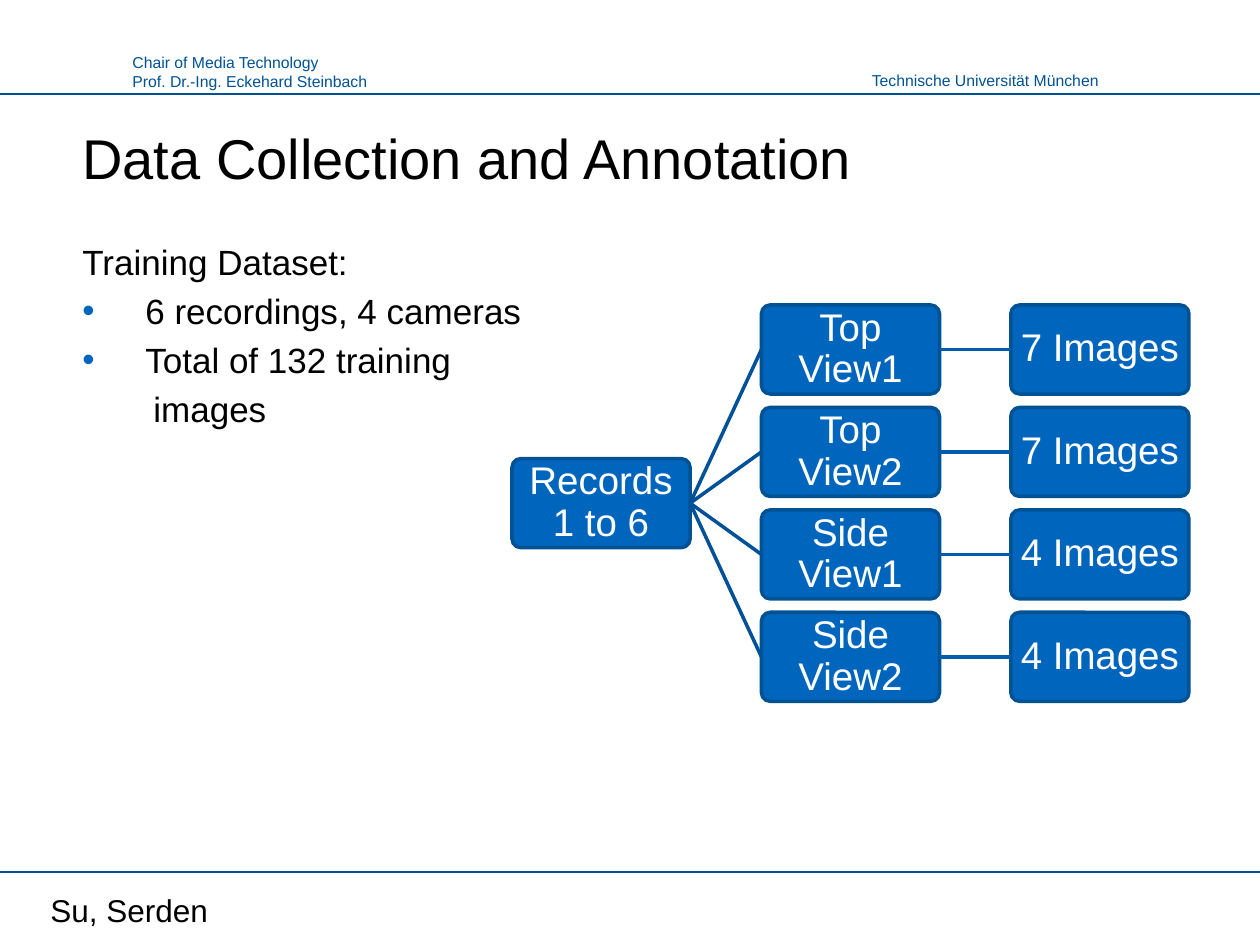
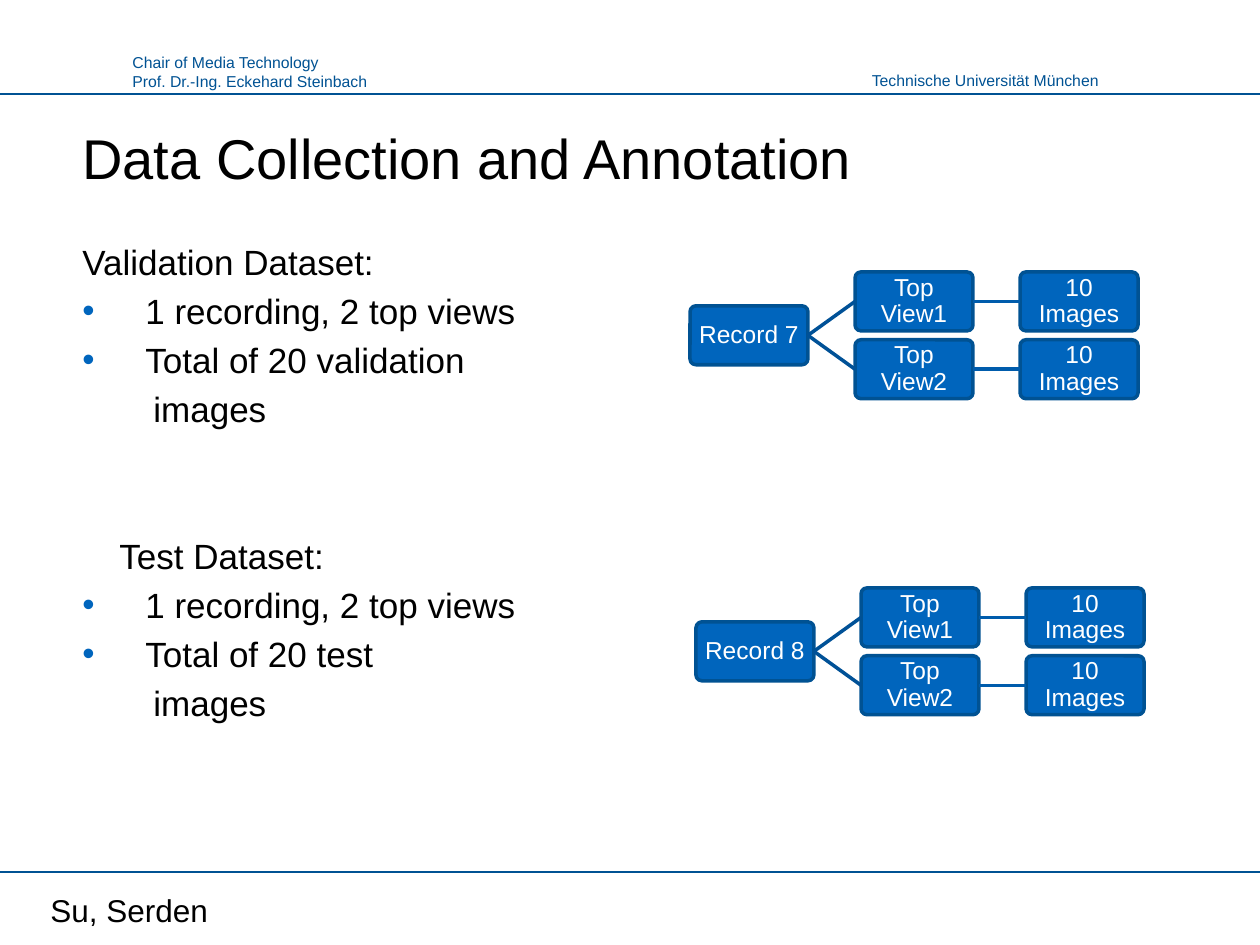
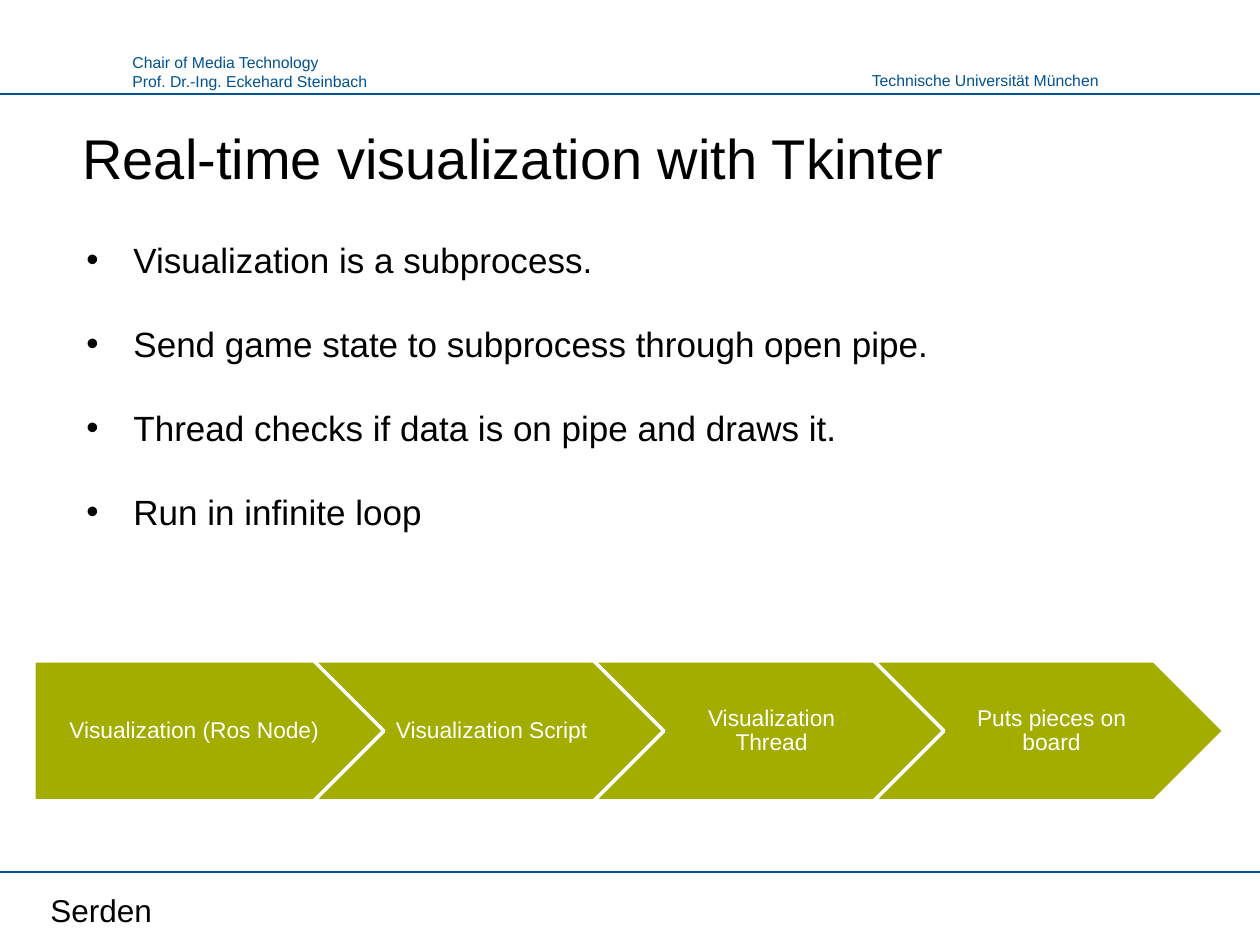
from collections import namedtuple
from dataclasses import dataclass

from lxml.etree import SubElement
from pptx import Presentation
from pptx.dml.color import RGBColor
from pptx.enum.shapes import MSO_CONNECTOR as Connector, MSO_SHAPE as Preset
from pptx.enum.text import MSO_ANCHOR as Anchor, PP_ALIGN as Align
from pptx.oxml.ns import qn
from pptx.util import Emu, Pt

PX = 914400 / 126

Box = namedtuple("Box", "left top width height")
# margin and hang are px, before is points, bullet is a colour or None
Line = namedtuple("Line", "text margin hang before bullet", defaults=(0, 0, 4, None))


@dataclass(frozen=True)
class Theme:
    font: str = "Arial"
    text: str = "000000"
    paper: str = "FFFFFF"
    blue: str = "0065BD"
    dark_blue: str = "005293"
    branch: str = "005197"
    link: str = "005CAC"
    green: str = "A2AD00"
    title_size: int = 32
    body_size: int = 20
    footer_size: int = 18
    step_size: int = 13
    header_size: int = 9
    rule_width: float = 0.75
    outline_width: float = 2


THEME = Theme()
PAGE = Box(0, 0, 1260, 945)
TITLE = Box(70, 117, 1120, 83)
BODY = Box(70, 234, 1120, 616)
STEP_BODY = Box(73, 232, 1062, 306)
CHAIR = Box(120, 47, 261, 50)
UNIVERSITY = Box(858, 65, 253, 32)
AUTHORS = Box(38, 885, 302, 48)
RULES = (94, 872)


def px(length):
    return Emu(round(length * PX))


def color(value):
    return RGBColor.from_string(value)


def place(box):
    return [px(length) for length in box]


def style(paragraph, size, ink):
    for run in paragraph.runs:
        run.font.name = THEME.font
        run.font.size = Pt(size)
        run.font.color.rgb = color(ink)


def add_text(slide, box, text, size, ink=THEME.text, align=Align.LEFT, wrap=True):
    frame = slide.shapes.add_textbox(*place(box)).text_frame
    frame.word_wrap = wrap
    frame.text = text
    for paragraph in frame.paragraphs:
        paragraph.alignment = align
        style(paragraph, size, ink)
    return frame


def add_line(slide, ink, width, start=(0, 0), end=(0, 0)):
    line = slide.shapes.add_connector(
        Connector.STRAIGHT, *[px(length) for length in (*start, *end)])
    line.line.color.rgb = color(ink)
    line.line.width = Pt(width)
    SubElement(line._element.spPr, qn("a:effectLst"))
    return line


def add_block(slide, preset, box, text, size, fill, outline, insets):
    """Add a filled shape with white centred text; insets are left, top, right, bottom."""
    block = slide.shapes.add_shape(preset, *place(box))
    block.shadow.inherit = False
    block.fill.solid()
    block.fill.fore_color.rgb = color(fill)
    block.line.color.rgb = color(outline)
    block.line.width = Pt(THEME.outline_width)
    frame = block.text_frame
    frame.word_wrap = True
    frame.vertical_anchor = Anchor.MIDDLE
    (frame.margin_left, frame.margin_top,
     frame.margin_right, frame.margin_bottom) = map(px, insets)
    frame.text = text
    paragraph = frame.paragraphs[0]
    paragraph.alignment = Align.CENTER
    paragraph.line_spacing = 0.9
    style(paragraph, size, THEME.paper)
    return block


def add_body(slide, box, lines):
    frame = add_text(slide, box, "\n".join(line.text for line in lines), THEME.body_size)
    for number, (paragraph, line) in enumerate(zip(frame.paragraphs, lines)):
        if number:
            paragraph.space_before = Pt(line.before)
        properties = paragraph._p.get_or_add_pPr()
        properties.set("marL", str(px(line.margin)))
        properties.set("indent", str(px(-line.hang)))
        if line.bullet:
            bullet_color = SubElement(properties, qn("a:buClr"))
            SubElement(bullet_color, qn("a:srgbClr"), val=line.bullet)
            SubElement(properties, qn("a:buFont"), typeface=THEME.font)
            SubElement(properties, qn("a:buChar"), char="•")


def add_tree(slide, box, size, record, views):
    """Draw a record, its views and their image counts; box holds three columns."""
    width = box.width / 3.8
    height = width / 2
    column, row = 1.4 * width, 1.15 * height

    def add_node(text, level, position):
        node_box = Box(box.left + level * column, box.top + position * row, width, height)
        node = add_block(slide, Preset.ROUNDED_RECTANGLE, node_box, text, size,
                         THEME.blue, THEME.dark_blue, (3, 3, 3, 3))
        node.adjustments[0] = 0.1
        return node

    def join(parent, child, ink):
        line = add_line(slide, ink, THEME.outline_width)
        line.begin_connect(parent, 3)
        line.end_connect(child, 1)

    root = add_node(record, 0, (len(views) - 1) / 2)
    for position, (view, images) in enumerate(views):
        view_node = add_node(view, 1, position)
        join(root, view_node, THEME.branch)
        join(view_node, add_node(images, 2, position), THEME.link)


def add_process(slide, box, steps):
    """Draw interlocking arrows, each starting at 80% of the one before."""
    width = box.width / (1 + 0.8 * (len(steps) - 1))
    for number, step in enumerate(steps):
        preset = Preset.CHEVRON if number else Preset.PENTAGON
        arrow = Box(box.left + 0.8 * width * number, box.top, width, box.height)
        add_block(slide, preset, arrow, step, THEME.step_size,
                  THEME.green, THEME.paper, (8, 5, 3, 5))


def add_page(deck, title, authors):
    """Add a slide with the header, rules, title and footer."""
    slide = deck.slides.add_slide(deck.slide_layouts[6])
    add_text(slide, UNIVERSITY, "Technische Universität München", THEME.header_size,
             THEME.dark_blue, Align.RIGHT, wrap=False)
    for height in RULES:
        add_line(slide, THEME.dark_blue, THEME.rule_width, (0, height), (PAGE.width, height))
    add_text(slide, CHAIR, "Chair of Media Technology\nProf. Dr.-Ing. Eckehard Steinbach",
             THEME.header_size, THEME.dark_blue, wrap=False)
    add_text(slide, TITLE, title, THEME.title_size)
    add_text(slide, AUTHORS, authors, THEME.footer_size)
    return slide


def dataset_lines(name, sources, total, margin=0, before=4):
    """List a dataset's heading, its two bullets and the last word on its own line."""
    return [
        Line(name, margin, before=before),
        Line(sources, 63, 63, bullet=THEME.blue),
        Line(total, 63, 63, bullet=THEME.blue),
        Line("images", 71),
    ]


def add_training(deck):
    slide = add_page(deck, "Data Collection and Annotation", "Su, Serden")
    add_body(slide, BODY, dataset_lines(
        "Training Dataset:", "6 recordings, 4 cameras", "Total of 132 training"))
    add_tree(slide, Box(512, 305, 677, 396), 22, "Records 1 to 6", [
        ("Top View1", "7 Images"),
        ("Top View2", "7 Images"),
        ("Side View1", "4 Images"),
        ("Side View2", "4 Images"),
    ])


def add_validation_and_test(deck):
    slide = add_page(deck, "Data Collection and Annotation", "Su, Serden")
    sources = "1 recording, 2 top views"
    add_body(slide, BODY, [
        *dataset_lines("Validation Dataset:", sources, "Total of 20 validation"),
        *dataset_lines("Test Dataset:", sources, "Total of 20 test", margin=37, before=60),
    ])
    views = [("Top View1", "10 Images"), ("Top View2", "10 Images")]
    for record, left, top in (("Record 7", 690, 272), ("Record 8", 696, 588)):
        add_tree(slide, Box(left, top, 448, 127), 14, record, views)


def add_visualization(deck):
    slide = add_page(deck, "Real-time visualization with Tkinter", "Serden")
    add_process(slide, Box(34, 661, 1190, 140), [
        "Visualization (Ros Node)",
        "Visualization Script",
        "Visualization Thread",
        "Puts pieces on board",
    ])
    points = [
        "Visualization is a subprocess.",
        "Send game state to subprocess through open pipe.",
        "Thread checks if data is on pipe and draws it.",
        "Run in infinite loop",
    ]
    add_body(slide, STEP_BODY, [
        Line(point, 48, 47, before=24, bullet=THEME.text) for point in points])


def main():
    deck = Presentation()
    deck.slide_width, deck.slide_height = px(PAGE.width), px(PAGE.height)
    add_training(deck)
    add_validation_and_test(deck)
    add_visualization(deck)
    deck.save("out.pptx")


if __name__ == "__main__":
    main()
